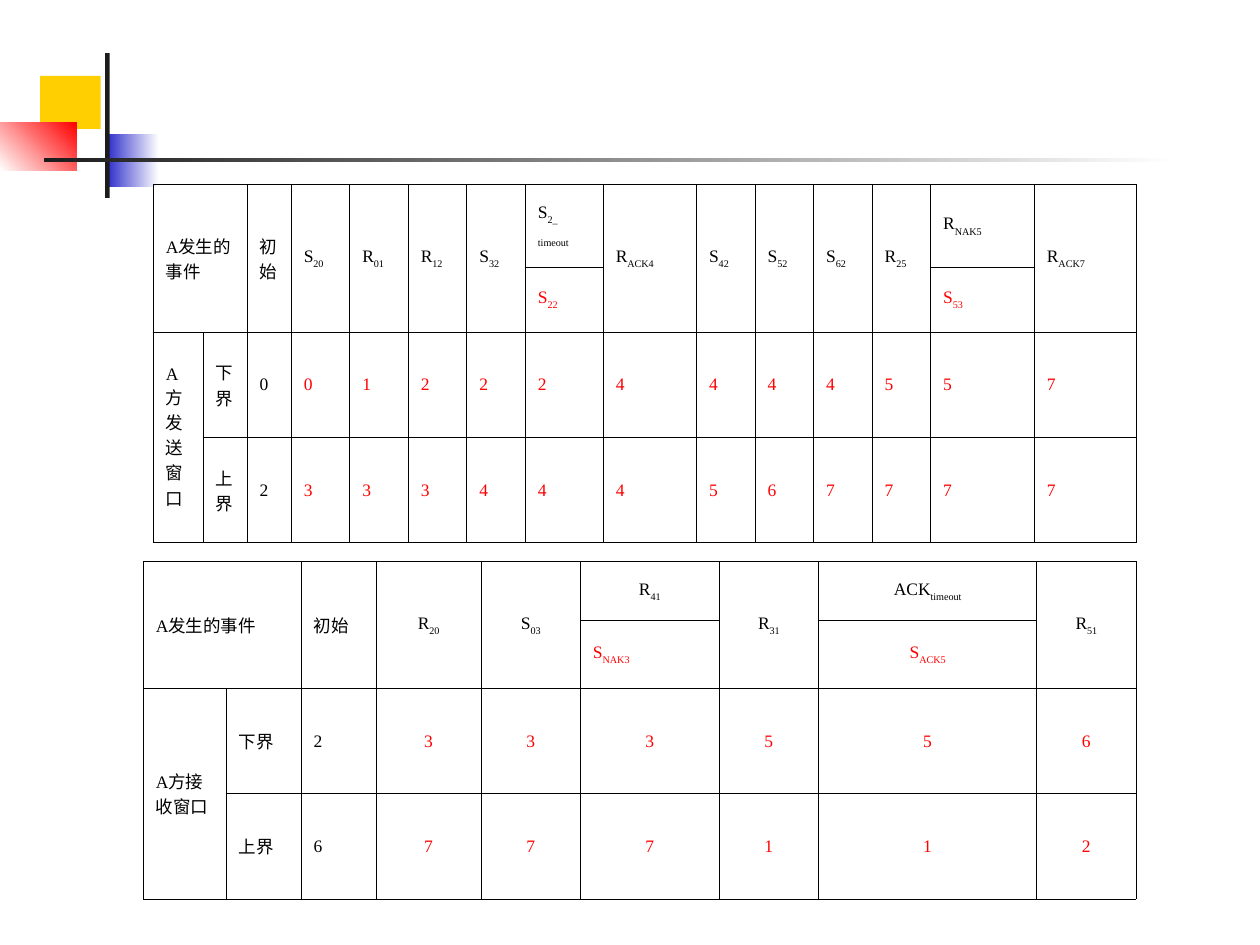
from dataclasses import dataclass

from lxml.etree import SubElement
from pptx import Presentation
from pptx.dml.color import RGBColor as RGB
from pptx.enum.shapes import MSO_SHAPE as Shape
from pptx.enum.text import MSO_ANCHOR as Anchor, PP_ALIGN as Align
from pptx.oxml.ns import qn
from pptx.util import Cm, Pt


@dataclass(frozen=True)
class Theme:
    font: str = "Times New Roman"
    size: float = 10
    border: float = 0.45
    ink: str = "000000"
    changed: str = "FF0000"
    yellow: str = "FFCF01"
    blue: str = "3333CC"
    red: str = "FF0000"
    bar: str = "1C1C1C"
    paper: str = "FFFFFF"


THEME = Theme()
FIRST_EVENT = 3

SEND_COLS = [1, 0.89, 0.89] + [1.18] * 4 + [1.57, 1.88] + [1.18] * 4 + [2.09, 2.06]
SEND_ROWS = [1.66, 1.32, 2.12, 2.12]
SEND_CELLS = [
    ["A发生的事件", None, "初始", "S|20", "R|01", "R|12", "S|32", "S|2_\n|timeout",
     "R|ACK4", "S|42", "S|52", "S|62", "R|25", "R|NAK5", "R|ACK7"],
    [None] * 7 + ["S|22"] + [None] * 5 + ["S|53", None],
    ["A方发送窗口", "下界", *"0012224444557"],
    [None, "上界", *"2333444567777"],
]

RECEIVE_COLS = [1.67, 1.51, 1.51, 2.12, 2, 2.8, 2, 4.4, 2]
RECEIVE_ROWS = [1.19, 1.37, 2.12, 2.12]
RECEIVE_CELLS = [
    ["A发生的事件", None, "初始", "R|20", "S|03", "R|41", "R|31", "ACK|timeout", "R|51"],
    [None] * 5 + ["S|NAK3", None, "S|ACK5", None],
    ["A方接收窗口", "下界", *"2333556"],
    [None, "上界", *"6777112"],
]


def add_block(slide, box, colors, angle=0):
    sp = slide.shapes.add_shape(Shape.RECTANGLE, *map(Cm, box))
    sp.shadow.inherit = False
    sp.line.fill.background()
    if len(colors) == 1:
        sp.fill.solid()
        sp.fill.fore_color.rgb = RGB.from_string(colors[0])
        return
    sp.fill.gradient()
    sp.fill.gradient_angle = angle
    for stop, color in zip(sp.fill.gradient_stops, colors):
        stop.color.rgb = RGB.from_string(color)


def add_ornament(slide, left, top):
    t = THEME
    blocks = [
        (0.81, 0.46, 1.22, 1.07, [t.yellow], 0),
        (2.18, 1.63, 1.02, 1.07, [t.blue, t.paper], 0),
        (0, 1.4, 1.55, 0.97, [t.paper, t.red], 45),
        (2.12, 0, 0.09, 2.92, [t.bar], 0),
        (0.89, 2.11, 22.86, 0.09, [t.bar, t.paper], 0),
    ]
    for x, y, w, h, colors, angle in blocks:
        add_block(slide, (left + x, top + y, w, h), colors, angle)


def add_borders(cell):
    tc_pr = cell._tc.get_or_add_tcPr()
    for side in ("lnL", "lnR", "lnT", "lnB"):
        ln = SubElement(tc_pr, qn(f"a:{side}"), w=str(Pt(THEME.border)))
        fill = SubElement(ln, qn("a:solidFill"))
        SubElement(fill, qn("a:srgbClr"), val=THEME.ink)


def add_run(p, text, color, subscript):
    r = p.add_run()
    r.text = text
    r.font.name = THEME.font
    r.font.size = Pt(THEME.size)
    r.font.color.rgb = RGB.from_string(color)
    if subscript:
        r.font._element.set("baseline", "-30000")


def write_cell(cell, text, color, align):
    cell.vertical_anchor = Anchor.MIDDLE
    tf = cell.text_frame
    for i, line in enumerate(text.split("\n")):
        p = tf.add_paragraph() if i else tf.paragraphs[0]
        p.alignment = align
        base, _, sub = line.partition("|")
        for part, subscript in ((base, False), (sub, True)):
            if part:
                add_run(p, part, color, subscript)


def merge_spans(table, cells):
    table.cell(0, 0).merge(table.cell(1, 1))
    table.cell(2, 0).merge(table.cell(3, 0))
    for c in range(2, len(cells[0])):
        if cells[1][c] is None:
            table.cell(0, c).merge(table.cell(1, c))


def add_window_table(slide, left, top, cols, rows, cells, align, left_cells=()):
    box = map(Cm, (left, top, sum(cols), sum(rows)))
    table = slide.shapes.add_table(len(rows), len(cols), *box).table
    table.first_row = table.horz_banding = False
    for col, width in zip(table.columns, cols):
        col.width = Cm(width)
    for row, height in zip(table.rows, rows):
        row.height = Cm(height)
    for i, line in enumerate(cells):
        for j, text in enumerate(line):
            cell = table.cell(i, j)
            add_borders(cell)
            cell.fill.background()
            if text is None:
                continue
            is_event = j >= FIRST_EVENT
            color = THEME.changed if is_event and i else THEME.ink
            centred = is_event and text not in left_cells
            write_cell(cell, text, color, align if centred else Align.LEFT)
    merge_spans(table, cells)


def main():
    prs = Presentation()
    prs.slide_width, prs.slide_height = Cm(25.4), Cm(19.05)
    slide = prs.slides.add_slide(prs.slide_layouts[6])
    add_ornament(slide, 0, 1.07)
    add_window_table(slide, 3.09, 3.72, SEND_COLS, SEND_ROWS, SEND_CELLS, Align.LEFT)
    add_window_table(slide, 2.89, 11.32, RECEIVE_COLS, RECEIVE_ROWS, RECEIVE_CELLS,
                     Align.CENTER, left_cells=("S|NAK3",))
    prs.save("out.pptx")


if __name__ == "__main__":
    main()
